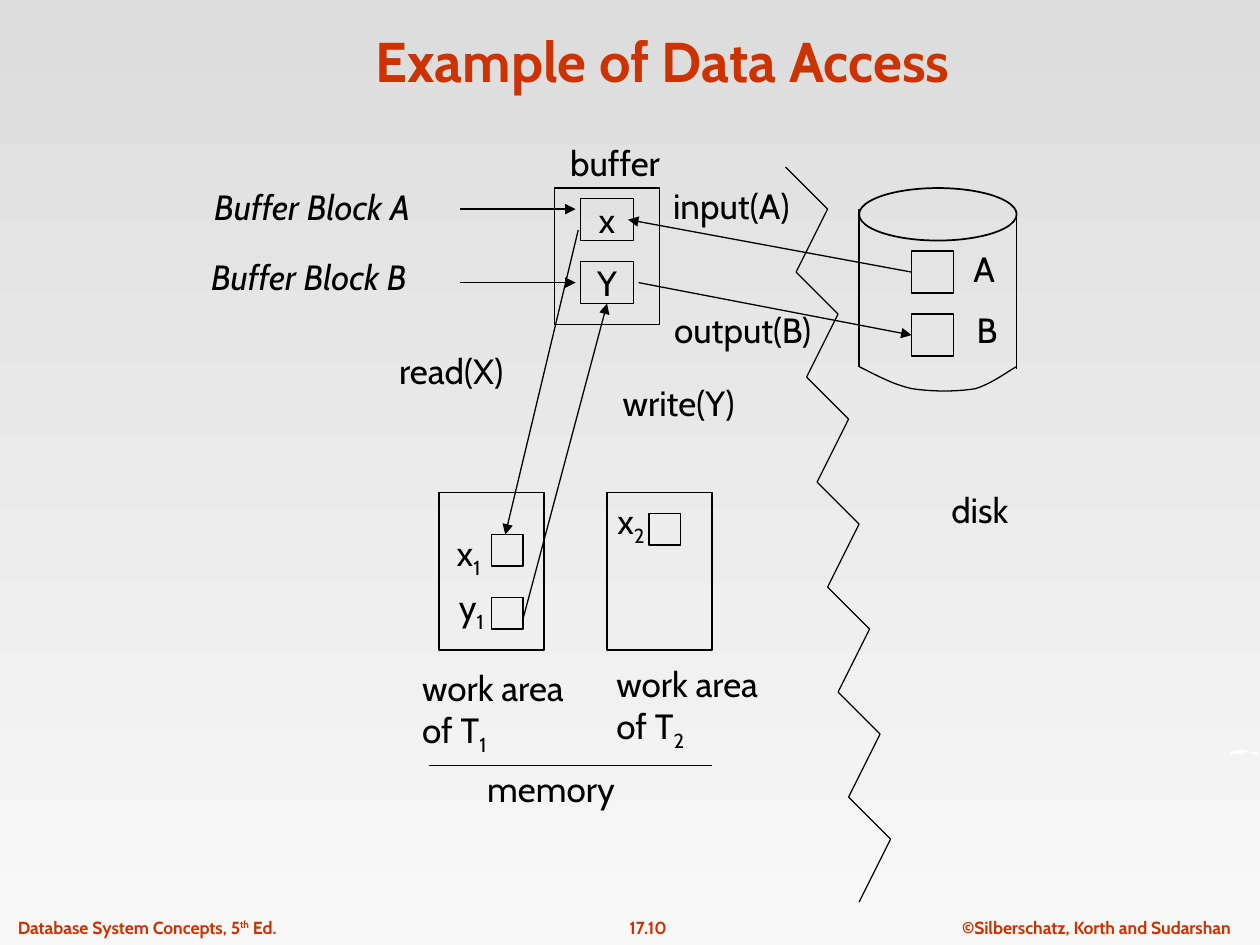
from dataclasses import dataclass

from lxml import etree
from pptx import Presentation
from pptx.dml.color import RGBColor
from pptx.enum.shapes import MSO_CONNECTOR, MSO_SHAPE
from pptx.enum.text import MSO_ANCHOR, MSO_AUTO_SIZE, PP_ALIGN
from pptx.oxml.ns import qn
from pptx.util import Inches, Pt

RECTANGLE, OVAL = MSO_SHAPE.RECTANGLE, MSO_SHAPE.OVAL
LEFT, CENTER = PP_ALIGN.LEFT, PP_ALIGN.CENTER
CELLS_PER_INCH = 12
ORIGIN = (-0.015, -0.007)  # inches
TITLE_ONLY = 5

Point = tuple[float, float]


@dataclass(frozen=True)
class Theme:
    font: str = "Cabin"
    ink: RGBColor = RGBColor(0, 0, 0)
    accent: RGBColor = RGBColor(0xCC, 0x33, 0x00)
    white: RGBColor = RGBColor(0xFF, 0xFF, 0xFF)
    sky: RGBColor = RGBColor(0xDD, 0xDD, 0xDD)
    ground: RGBColor = RGBColor(0xF8, 0xF8, 0xF8)
    title: float = 32
    label: float = 20
    footer: float = 10
    thin: float = 0.75
    rim: float = 1


@dataclass(frozen=True)
class Box:
    """A rectangle or ellipse, in grid cells."""
    column: float
    row: float
    columns: float
    rows: float
    text: str = ""


@dataclass(frozen=True)
class Label:
    """Each line is a list of (text, baseline shift in percent) spans."""
    column: float
    row: float
    columns: float
    lines: list[list[tuple[str, int]]]
    italic: bool = False
    wrap: bool = False


THEME = Theme()


def plain(text: str) -> list[list[tuple[str, int]]]:
    return [[(text, 0)]]


def indexed(text: str, index: str) -> list[tuple[str, int]]:
    return [(text, 0), (index, -25)]


def work_area(index: str) -> list[list[tuple[str, int]]]:
    return plain("work area") + [indexed("of T", index)]


BOXES = [
    Box(53, 18, 10, 13),
    Box(55.5, 19, 5, 4, "x"), Box(55.5, 25, 5, 4, "Y"),
    Box(87, 24, 4, 4), Box(87, 30, 4, 4),
    Box(42, 47, 10, 15), Box(58, 47, 10, 15),
    Box(62, 49, 3, 3), Box(47, 51, 3, 3), Box(47, 57, 3, 3),
]
DISK_TOP = Box(82, 18, 15, 5)
DISK_BASE = [
    [(82, 35), (83.6, 35.8), (85.2, 36.7), (87, 37.1)],
    [(87, 37.1), (88.9, 37.4), (91.4, 37.4), (93.1, 37.1)],
    [(93.1, 37.1), (94.7, 36.6), (96.4, 35.3), (97, 35)],
]
LINES = [((82, 20), (82, 35)), ((97, 20.25), (97, 35.25)), ((41, 73), (68, 73))]
ARROWS = [
    ((44, 20), (55, 20)), ((44, 27), (55, 27)),
    ((87, 26), (60, 21)), ((61, 27), (87, 32)),
    ((55.25, 22), (48.3, 51)), ((50, 59), (58, 29)),
]
LABELS = [
    Label(91.7, 23.1, 4.5, plain("A")),
    Label(92, 28.9, 4.5, plain("B")),
    Label(42.5, 50.1, 5.3, [indexed("x", "1")]),
    Label(42.7, 55.3, 5.6, [indexed("y", "1")]),
    Label(57.8, 47.1, 5.3, [indexed("x", "2")]),
    Label(53.3, 13, 12, plain("buffer")),
    Label(19.4, 17.2, 23.9, plain("Buffer Block A"), italic=True),
    Label(19.1, 23.8, 23, plain("Buffer Block B"), italic=True),
    Label(63.1, 17.1, 14.8, plain("input(A)")),
    Label(63.2, 28.9, 18, plain("output(B)")),
    Label(37, 32.8, 13.6, plain("read(X)")),
    Label(58.3, 35.8, 14.3, plain("write(Y)")),
    Label(89.6, 46, 8.6, plain("disk")),
    Label(39.2, 63, 18, work_area("1"), wrap=True),
    Label(57.7, 62.6, 18.1, work_area("2")),
    Label(45.4, 72.6, 15.6, plain("memory")),
]
FOOTERS = [
    (Label(88.5, 86.8, 32.2, plain("©Silberschatz, Korth and Sudarshan")), CENTER),
    (Label(55.3, 86.8, 13.2, plain("17.10")), CENTER),
    (Label(0.7, 86.8, 30.5, [[("Database System Concepts, 5", 0), ("th", 30), (" Ed.", 0)]]), LEFT),
]
SWOOSH = [
    (117.2, 72.2), (117.4, 71.8), (117.7, 71.6), (118.1, 71.5), (118.6, 71.5),
    (119.2, 71.7), (119.8, 71.7), (120.1, 71.8), (120.1, 72), (119.8, 72),
    (119.4, 71.8), (118.7, 71.7), (118.7, 72), (118.4, 71.7), (118.4, 72),
    (118, 71.7), (118.1, 72), (117.8, 71.8), (117.5, 72),
]


def place(point: Point) -> list[int]:
    """Turn a grid point into slide lengths."""
    return [Inches(cell / CELLS_PER_INCH + start) for cell, start in zip(point, ORIGIN)]


def extent(columns: float, rows: float) -> list[int]:
    return [Inches(cells / CELLS_PER_INCH) for cells in (columns, rows)]


def style(font, size: float, color: RGBColor, bold: bool = False, italic: bool = False) -> None:
    font.name, font.size, font.bold, font.italic = THEME.font, Pt(size), bold, italic
    font.color.rgb = color


def draw_box(page, box: Box, kind=RECTANGLE, width: float = THEME.thin) -> None:
    shape = page.shapes.add_shape(kind, *place((box.column, box.row)), *extent(box.columns, box.rows))
    shape.shadow.inherit = False
    shape.fill.background()
    shape.line.color.rgb, shape.line.width = THEME.ink, Pt(width)
    if box.text:
        frame = shape.text_frame
        frame.word_wrap, frame.vertical_anchor = False, MSO_ANCHOR.MIDDLE
        para = frame.paragraphs[0]
        para.text, para.alignment = box.text, CENTER
        style(para.font, THEME.label, THEME.ink)


def draw_line(page, start: Point, end: Point, arrow: bool = False) -> None:
    line = page.shapes.add_connector(MSO_CONNECTOR.STRAIGHT, *place(start), *place(end))
    line.line.color.rgb, line.line.width = THEME.ink, Pt(THEME.thin)
    if arrow:
        etree.SubElement(line.line._get_or_add_ln(), qn("a:tailEnd"), type="triangle")
    etree.SubElement(line._element.spPr, qn("a:effectLst"))


def draw_outline(page, points: list[Point], closed: bool):
    first, *rest = [place(point) for point in points]
    builder = page.shapes.build_freeform(*first)
    builder.add_line_segments(rest, close=closed)
    shape = builder.convert_to_shape()
    shape.shadow.inherit = False
    return shape


def curve(controls: list[Point], steps: int = 10) -> list[Point]:
    """Sample a cubic Bezier curve."""
    return [
        tuple(sum(weight * value for weight, value in
                  zip(((1 - t) ** 3, 3 * t * (1 - t) ** 2, 3 * t * t * (1 - t), t ** 3), axis))
              for axis in zip(*controls))
        for t in (step / steps for step in range(steps + 1))
    ]


def draw_label(page, label: Label, size: float, color: RGBColor,
               bold: bool = False, align=LEFT) -> None:
    rows = size * 0.225 * len(label.lines) + 0.8
    box = page.shapes.add_textbox(*place((label.column, label.row)), *extent(label.columns, rows))
    frame = box.text_frame
    frame.word_wrap, frame.auto_size = label.wrap, MSO_AUTO_SIZE.SHAPE_TO_FIT_TEXT
    for number, spans in enumerate(label.lines):
        para = frame.add_paragraph() if number else frame.paragraphs[0]
        para.alignment = align
        style(para.font, size, color, bold, label.italic)
        for text, shift in spans:
            span = para.add_run()
            span.text = text
            if shift:
                span.font._element.set("baseline", str(shift * 1000))


def draw_title(page, text: str) -> None:
    title = page.shapes.title
    title.left, title.top = place((10.3, 1.6))
    title.width, title.height = extent(106, 8)
    frame = title.text_frame
    frame.auto_size, frame.vertical_anchor = MSO_AUTO_SIZE.NONE, MSO_ANCHOR.BOTTOM
    para = frame.paragraphs[0]
    para.text, para.alignment = text, CENTER
    style(para.font, THEME.title, THEME.accent, bold=True)


def draw_tear(page, start: Point, cycles: int) -> None:
    """Draw the zigzag between memory and disk."""
    column, row = start
    for across, down in [(4, 4), (-3, 6)] * cycles:
        draw_line(page, (column, row), (column + across, row + down))
        column, row = column + across, row + down


def main() -> None:
    deck = Presentation()
    deck.slide_width, deck.slide_height = Inches(10), Inches(7.5)
    page = deck.slides.add_slide(deck.slide_layouts[TITLE_ONLY])
    backdrop = page.background.fill
    backdrop.gradient()
    backdrop.gradient_angle = 270
    for stop, color in zip(backdrop.gradient_stops, (THEME.sky, THEME.ground)):
        stop.color.rgb = color

    for footer, align in FOOTERS:
        draw_label(page, footer, THEME.footer, THEME.accent, bold=True, align=align)
    swoosh = draw_outline(page, SWOOSH, closed=True)
    swoosh.fill.solid()
    swoosh.fill.fore_color.rgb = THEME.white
    swoosh.line.fill.background()
    draw_title(page, "Example of Data Access")

    for box in BOXES:
        draw_box(page, box)
    draw_box(page, DISK_TOP, OVAL, THEME.rim)
    base = draw_outline(page, [point for part in DISK_BASE for point in curve(part)], closed=False)
    base.fill.background()
    base.line.color.rgb, base.line.width = THEME.ink, Pt(THEME.thin)
    for start, end in LINES:
        draw_line(page, start, end)
    for start, end in ARROWS:
        draw_line(page, start, end, arrow=True)
    draw_tear(page, (75, 16), 7)
    for label in LABELS:
        draw_label(page, label, THEME.label, THEME.ink)
    deck.save("out.pptx")


if __name__ == "__main__":
    main()
